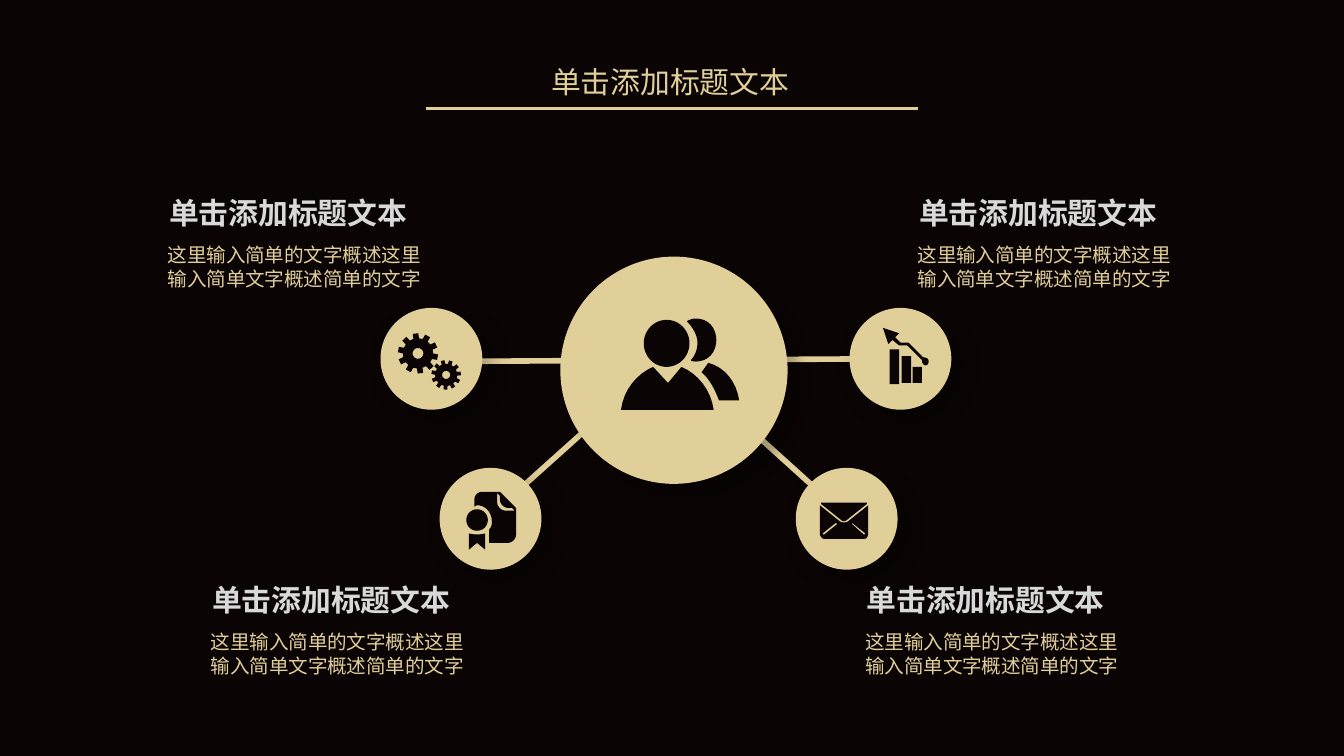
from math import cos, sin, radians
from lxml.etree import SubElement as Sub
from pptx import Presentation
from pptx.dml.color import RGBColor
from pptx.enum.shapes import MSO_CONNECTOR as Con, MSO_SHAPE as Geo
from pptx.enum.text import MSO_ANCHOR as Anchor, MSO_AUTO_SIZE as Fit, PP_ALIGN as Align
from pptx.oxml.ns import qn
from pptx.util import Inches, Pt

DARK = RGBColor(0x0A, 0x04, 0x04)
GOLD = RGBColor(0xE1, 0xCF, 0x9A)
GREY = RGBColor(0xD9, 0xD9, 0xD9)
FONT = "Noto Sans CJK SC"

# Content
HEAD = "单击添加标题文本"
BODY = "这里输入简单的文字概述这里输入简单文字概述简单的文字"
HEAD_FMT = {"size": Pt(16), "bold": True}
BODY_FMT = {"size": Pt(10.5), "bold": False}
TITLE_FMT = {"size": Pt(16), "bold": False}
LABELS = [(1.16, 1.4), (1.48, 4.28), (6.74, 1.4), (6.35, 4.28)]
RULE = (3.17, 0.81, 6.83, 0.81)
SPOKES = [(4.79, 2.48, 6.03, 3.6), (3.27, 2.69, 6.57, 2.67), (3.9, 3.61, 5.26, 2.39)]


# Outline makers: a contour lists points (x, y) and curves (x1, y1, x2, y2, x, y)
def ring(x, y, r):
    return [(x + r * cos(radians(a)), y + r * sin(radians(a))) for a in range(0, 360, 6)]


def gear(x, y, r, hole, teeth, turn):
    pts, step = [], 360 / teeth
    for i in range(teeth):
        for part, size in ((-0.3, 0.75), (-0.22, 1), (0.22, 1), (0.3, 0.75)):
            a = radians(turn + (i + part) * step)
            pts.append((x + size * r * cos(a), y + size * r * sin(a)))
    return [pts, ring(x, y, hole)]


# Icons: each outline is a list of contours
MAIL = [
    [[(6.46, 3.76), (6.31, 3.88), (6.29, 3.89, 6.27, 3.89, 6.25, 3.88), (6.1, 3.76),
      (6.1, 3.97), (6.1, 3.99, 6.12, 4.01, 6.13, 4.01), (6.43, 4.01),
      (6.45, 4.01, 6.46, 3.99, 6.46, 3.97)],
     [(6.22, 3.89), (6.12, 3.97), (6.13, 3.98), (6.23, 3.9)],
     [(6.34, 3.89), (6.44, 3.97), (6.43, 3.98), (6.34, 3.9)]],
    [[(6.11, 3.74), (6.45, 3.74), (6.45, 3.75), (6.3, 3.87),
      (6.29, 3.88, 6.27, 3.88, 6.26, 3.87), (6.11, 3.75)]],
]
GEARS = [gear(3.11, 2.63, 0.15, 0.04, 10, 11), gear(3.32, 2.79, 0.11, 0.03, 11, 27)]
AWARD = [[
    [(3.72, 3.66), (3.59, 3.66), (3.56, 3.66, 3.53, 3.68, 3.53, 3.72), (3.53, 3.77),
     (3.55, 3.76), (3.61, 3.76, 3.66, 3.81, 3.66, 3.88),
     (3.66, 3.9, 3.66, 3.92, 3.64, 3.94), (3.64, 4.04), (3.78, 4.04),
     (3.81, 4.04, 3.84, 4.01, 3.84, 3.98), (3.84, 3.78)],
    [(3.76, 3.8), (3.73, 3.8, 3.7, 3.77, 3.7, 3.74), (3.7, 3.67), (3.72, 3.69),
     (3.72, 3.72), (3.72, 3.75, 3.75, 3.78, 3.78, 3.78), (3.81, 3.78), (3.83, 3.8)],
    [(3.49, 3.97), (3.49, 4.09), (3.55, 4.04), (3.61, 4.09), (3.61, 3.97),
     (3.57, 3.98, 3.53, 3.98, 3.49, 3.97)],
    ring(3.55, 3.87, 0.08),
]]
TREND = [[[(6.64, 2.53), (6.69, 2.57), (6.75, 2.57), (6.86, 2.68),
           (6.86, 2.73, 6.91, 2.73, 6.91, 2.69), (6.91, 2.66, 6.88, 2.66, 6.87, 2.66),
           (6.76, 2.55), (6.7, 2.55), (6.66, 2.51), (6.69, 2.48), (6.57, 2.44),
           (6.61, 2.56)]]]
PEOPLE = [
    [[(5.27, 2.7), (5.22, 2.77), (5.28, 2.82, 5.32, 2.9, 5.35, 2.98), (5.5, 2.98),
      (5.48, 2.84, 5.39, 2.73, 5.27, 2.7)]],
    [[(5.19, 2.55), (5.19, 2.6, 5.17, 2.65, 5.14, 2.68),
      (5.15, 2.69, 5.16, 2.69, 5.18, 2.69), (5.27, 2.69, 5.33, 2.62, 5.33, 2.53),
      (5.33, 2.44, 5.27, 2.37, 5.18, 2.37), (5.15, 2.37, 5.13, 2.38, 5.11, 2.39),
      (5.15, 2.43, 5.19, 2.49, 5.19, 2.55)]],
    [[(5.31, 3.05), (5.29, 2.9, 5.19, 2.78, 5.07, 2.73), (4.97, 2.85), (4.86, 2.73),
      (4.74, 2.78, 4.64, 2.9, 4.62, 3.05)]],
]
BARS = [(Geo.RECTANGLE, 6.62, 2.6, 0.07, 0.26), (Geo.RECTANGLE, 6.71, 2.65, 0.07, 0.2),
        (Geo.RECTANGLE, 6.79, 2.73, 0.07, 0.12)]
FACE = [(Geo.OVAL, 4.79, 2.38, 0.34, 0.35)]

# Discs: left, top, size, line width, shadow (alpha %, blur, distance), presets, outlines
SOFT = (28, 12, 6)
DISCS = [
    (5.93, 3.49, 0.74, 1.25, SOFT, [], MAIL),
    (2.84, 2.3, 0.74, 1.25, SOFT, [], GEARS),
    (3.28, 3.49, 0.74, 1.25, SOFT, [], AWARD),
    (6.33, 2.3, 0.74, 1.25, SOFT, BARS, TREND),
    (4.18, 1.92, 1.67, 1.5, (25, 7, 8), FACE, PEOPLE),
]


def paint(shape, color, width=None):
    shape.shadow.inherit = False
    shape.fill.solid()
    shape.fill.fore_color.rgb = color
    if width:
        shape.line.color.rgb = color
        shape.line.width = Pt(width)
    else:
        shape.line.fill.background()


def shade(shape, alpha, blur, dist):
    glow = Sub(shape._element.spPr.find(qn("a:effectLst")), qn("a:outerShdw"),
               blurRad=str(Pt(blur)), dist=str(Pt(dist)), dir=str(45 * 60000))
    tone = Sub(glow, qn("a:srgbClr"), val="000000")
    Sub(tone, qn("a:alpha"), val=str(alpha * 1000))


def preset(shapes, kind, *box):
    return shapes.add_shape(kind, *map(Inches, box))


def flat(contour):
    pts = []
    for item in contour:
        if len(item) == 2:
            pts.append(item)
            continue
        ends = [pts[-1], item[:2], item[2:4], item[4:]]
        for t in (k / 8 for k in range(1, 9)):
            mix = ((1 - t) ** 3, 3 * t * (1 - t) ** 2, 3 * t * t * (1 - t), t ** 3)
            pts.append(tuple(sum(m * e[i] for m, e in zip(mix, ends)) for i in (0, 1)))
    return [(Inches(x), Inches(y)) for x, y in pts]


def trace(shapes, outline):
    first, *rest = map(flat, outline)
    pen = shapes.build_freeform(*first[0])
    pen.add_line_segments(first[1:], close=True)
    for pts in rest:
        pen.move_to(*pts[0])
        pen.add_line_segments(pts[1:], close=True)
    return pen.convert_to_shape()


def link(shapes, ends, width):
    line = shapes.add_connector(Con.STRAIGHT, *map(Inches, ends))
    line.line.color.rgb = GOLD
    line.line.width = Pt(width)
    Sub(line._element.spPr, qn("a:effectLst"))


def write(box, text, color, fmt):
    frame = box.text_frame
    frame.text = text
    frame.word_wrap = True
    frame.auto_size = Fit.SHAPE_TO_FIT_TEXT
    frame.vertical_anchor = Anchor.TOP
    run = frame.paragraphs[0].runs[0]
    for key, val in {"name": FONT, **fmt}.items():
        setattr(run.font, key, val)
    run.font.color.rgb = color
    Sub(run.font._element, qn("a:ea"), typeface=FONT)
    return frame.paragraphs[0]


# Widescreen page, 16:9
prs = Presentation()
prs.slide_width = Inches(10)
prs.slide_height = Inches(10 * 9 / 16)
slide = prs.slides.add_slide(prs.slide_layouts[5])
slide.background.fill.solid()
slide.background.fill.fore_color.rgb = DARK
shapes = slide.shapes

# Title and rule
title = shapes.title
for key, val in {"left": 4, "top": 0.29, "width": 2, "height": 0.46}.items():
    setattr(title, key, Inches(val))
para = write(title, HEAD, GOLD, TITLE_FMT)
para.alignment = Align.JUSTIFY
para.line_spacing = 1.5
link(shapes, RULE, 1.5)

# Spokes behind the discs
spokes = shapes.add_group_shape()
for ends in SPOKES:
    link(spokes.shapes, ends, 3)

# Discs with icons
for x, y, size, width, shadow, parts, icon in DISCS:
    group = shapes.add_group_shape().shapes
    disc = preset(group, Geo.OVAL, x, y, size, size)
    paint(disc, GOLD, width)
    shade(disc, *shadow)
    for part in parts:
        paint(preset(group, *part), DARK)
    for outline in icon:
        paint(trace(group, outline), DARK)

# Labels
for x, y in LABELS:
    body = shapes.add_textbox(*map(Inches, (x - 0.01, y + 0.36, 2.13, 0.45)))
    write(body, BODY, GOLD, BODY_FMT)
    head = shapes.add_textbox(*map(Inches, (x, y, 2.21, 0.37)))
    write(head, HEAD, GREY, HEAD_FMT)

prs.save("out.pptx")
